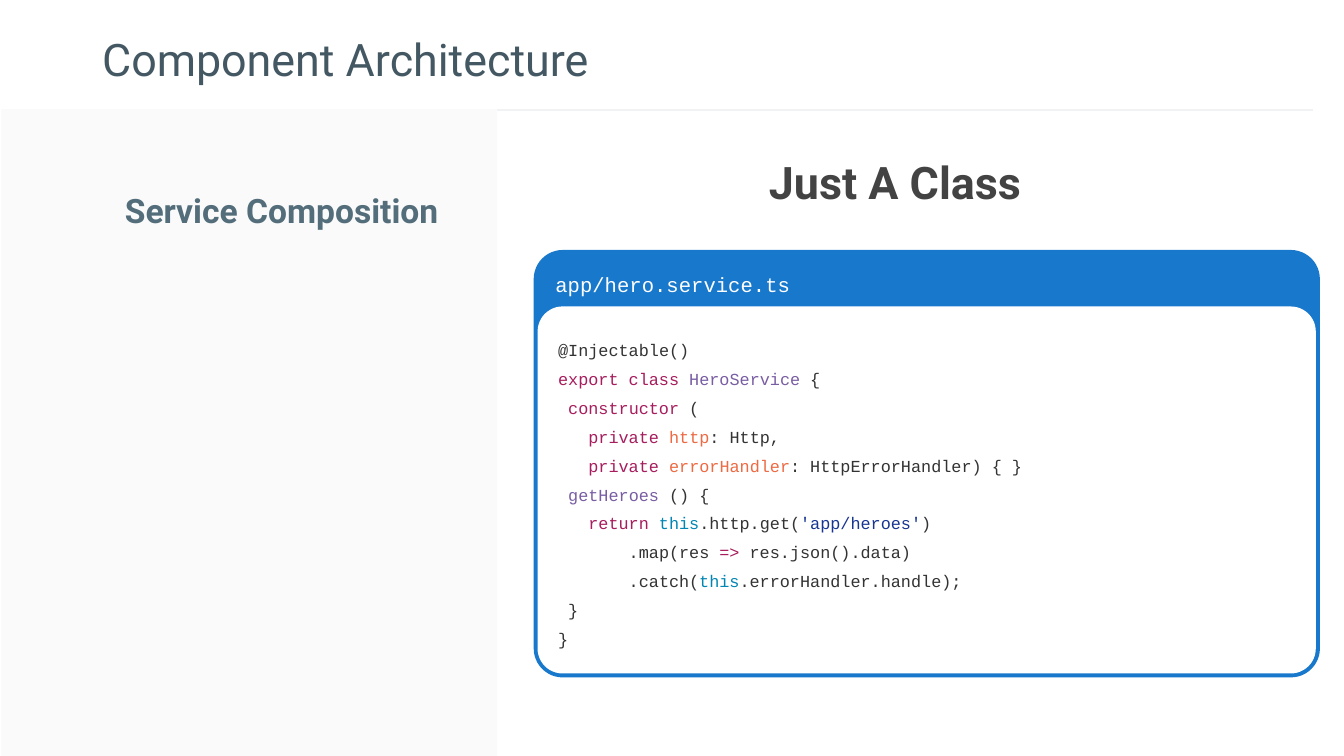
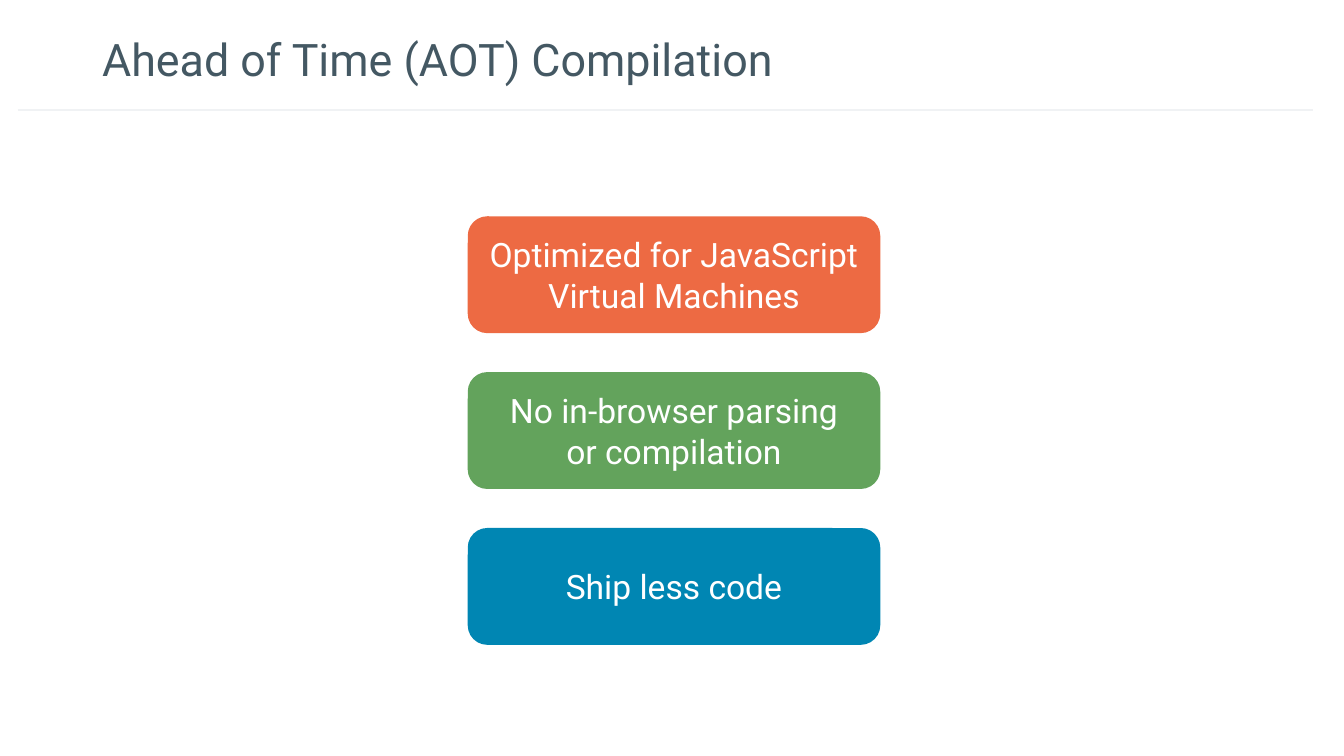
from dataclasses import dataclass
from typing import NamedTuple

from pptx import Presentation
from pptx.dml.color import RGBColor
from pptx.enum import shapes, text
from pptx.oxml.ns import qn
from pptx.util import Pt

COLOURS = {
    "title": "445863",
    "rule": "F0F2F4",
    "panel": "FAFAFA",
    "heading": "434343",
    "topic": "536E7A",
    "window": "1878CC",
    "white": "FFFFFF",
    "code": "333333",
    "keyword": "A71D5D",
    "name": "795DA3",
    "orange": "ED6A43",
    "green": "63A35C",
    "blue": "0086B3",
    "string": "183691",
}
SANS, MONO = "Roboto", "Courier New"
LEFT, CENTER = text.PP_ALIGN.LEFT, text.PP_ALIGN.CENTER
TOP, MIDDLE, BOTTOM = (
    text.MSO_ANCHOR.TOP, text.MSO_ANCHOR.MIDDLE, text.MSO_ANCHOR.BOTTOM
)
RECTANGLE = shapes.MSO_SHAPE.RECTANGLE
ROUNDED = shapes.MSO_SHAPE.ROUNDED_RECTANGLE
INSET = 7.2
FRAME_FORMAT = {
    "margin_left": Pt(INSET),
    "margin_top": Pt(INSET),
    "margin_right": Pt(INSET),
    "margin_bottom": Pt(INSET),
    "word_wrap": True,
    "auto_size": text.MSO_AUTO_SIZE.NONE,
}


class Area(NamedTuple):
    left: float
    top: float
    width: float
    height: float

    def points(self) -> list:
        return [Pt(length) for length in self]


class Span(NamedTuple):
    text: str
    colour: str


@dataclass
class Style:
    size: float
    colour: str
    font: str = SANS
    bold: bool = False
    align: int = LEFT
    anchor: int = TOP
    spacing: float = 1.0


@dataclass
class Card:
    lines: list
    colour: str


TITLE = Style(24, "title", anchor=BOTTOM)
HEADING = Style(24, "heading", bold=True, align=CENTER)
TOPIC = Style(18, "topic", bold=True, anchor=MIDDLE)
FILE_NAME = Style(11, "white", MONO)
CODE = Style(9, "code", MONO, anchor=MIDDLE, spacing=1.43)
CARD = Style(18, "white", align=CENTER, anchor=MIDDLE)

TITLE_AREA = Area(47.5, -9.4, 621.4, 62.6)
CARD_AREA = Area(250.6, 115.9, 221, 62.6)
CARD_STEP = 83.5

# Each line lists plain strings in the code colour and coloured spans.
SERVICE_CODE = [
    ["@Injectable()"],
    [Span("export", "keyword"), " ", Span("class", "keyword"), " ",
     Span("HeroService", "name"), " {"],
    [" ", Span("constructor", "keyword"), " ("],
    ["   ", Span("private", "keyword"), " ", Span("http", "orange"), ": Http,"],
    ["   ", Span("private", "keyword"), " ", Span("errorHandler", "orange"),
     ": HttpErrorHandler) { }"],
    [" ", Span("getHeroes", "name"), " () {"],
    ["   ", Span("return", "keyword"), " ", Span("this", "blue"), ".http.get(",
     Span("'app/heroes'", "string"), ")"],
    ["       .map(res ", Span("=>", "keyword"), " res.json().data)"],
    ["       .catch(", Span("this", "blue"), ".errorHandler.handle);"],
    [" }"],
    ["}"],
]
CARDS = [
    Card([["Optimized for JavaScript"], ["Virtual Machines"]], "orange"),
    Card([["No in-browser parsing"], ["or compilation"]], "green"),
    Card([["Ship less code"]], "blue"),
]


def rgb(name: str) -> RGBColor:
    return RGBColor.from_string(COLOURS[name])


def apply(target, formats: dict) -> None:
    """Set every attribute named in formats on the target."""
    for attribute, value in formats.items():
        setattr(target, attribute, value)


def write(box, lines: list, style: Style) -> None:
    frame = box.text_frame
    apply(frame, FRAME_FORMAT | {"vertical_anchor": style.anchor})
    for index, line in enumerate(lines):
        para = frame.add_paragraph() if index else frame.paragraphs[0]
        apply(para, {
            "alignment": style.align,
            "line_spacing": style.spacing,
            "space_before": Pt(0),
            "space_after": Pt(0),
        })
        for part in line:
            span = part if isinstance(part, Span) else Span(part, style.colour)
            run = para.add_run()
            run.text = span.text
            apply(run.font, {
                "size": Pt(style.size), "name": style.font, "bold": style.bold
            })
            run.font.color.rgb = rgb(span.colour)


def add_text(page, area: Area, content: str, style: Style) -> None:
    write(page.shapes.add_textbox(*area.points()), [[content]], style)


def add_block(page, kind, area: Area, colour: str, corner: float = 0):
    block = page.shapes.add_shape(kind, *area.points())
    block.shadow.inherit = False
    block.fill.solid()
    block.fill.fore_color.rgb = rgb(colour)
    block.line.fill.background()
    if corner:
        block.adjustments[0] = corner
    return block


def add_page(deck, title: str):
    """Add a page with its title and the thin rule below it."""
    page = deck.slides.add_slide(deck.slide_layouts[5])
    box = page.shapes.title
    apply(box, dict(zip(("left", "top", "width", "height"), TITLE_AREA.points())))
    write(box, [[title]], TITLE)
    rule = page.shapes.add_connector(
        shapes.MSO_CONNECTOR.STRAIGHT, Pt(9.4), Pt(59), Pt(703.4), Pt(59)
    )
    rule.line.width = Pt(0.75)
    rule.line.color.rgb = rgb("rule")
    properties = rule.element.spPr
    properties.append(properties.makeelement(qn("a:effectLst"), {}))
    return page


def add_service_page(deck) -> None:
    page = add_page(deck, "Component Architecture")
    add_block(page, RECTANGLE, Area(0.7, 58.5, 265.6, 346.5), "panel")
    add_text(page, Area(258.5, 75.6, 442, 48.2), "Just A Class", HEADING)
    add_text(page, Area(59.8, 92.2, 253.4, 41), "Service Composition", TOPIC)
    window = add_block(page, ROUNDED, Area(285.9, 133.9, 421.2, 229), "window", 0.068)
    write(window, [["app/hero.service.ts"]], FILE_NAME)
    editor = add_block(page, ROUNDED, Area(288, 164.2, 416.9, 196.6), "white", 0.068)
    write(editor, SERVICE_CODE, CODE)


def add_compilation_page(deck) -> None:
    page = add_page(deck, "Ahead of Time (AOT) Compilation")
    for index, card in enumerate(CARDS):
        area = CARD_AREA._replace(top=CARD_AREA.top + index * CARD_STEP)
        write(add_block(page, ROUNDED, area, card.colour, 0.167), card.lines, CARD)


def main() -> None:
    deck = Presentation()
    apply(deck, {"slide_width": Pt(720), "slide_height": Pt(405)})
    add_service_page(deck)
    add_compilation_page(deck)
    deck.save("out.pptx")


if __name__ == "__main__":
    main()
